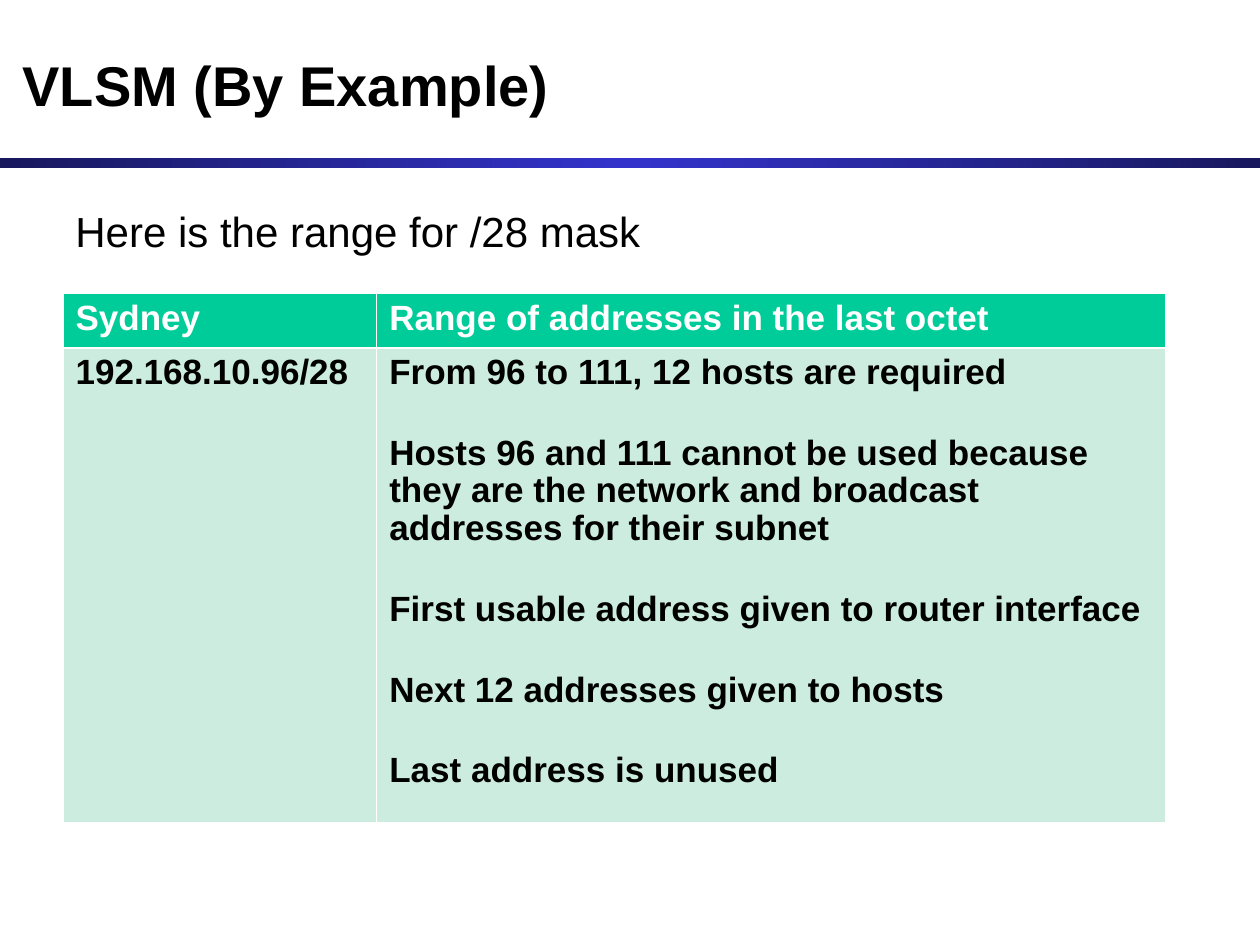
from copy import deepcopy
from dataclasses import dataclass

from pptx import Presentation
from pptx import util as u
from pptx.dml.color import RGBColor
from pptx.enum import shapes, text
from pptx.oxml import ns
from lxml import etree


@dataclass(frozen=True)
class Theme:
    font: str = "Arial"
    ink: str = "000000"
    paper: str = "FFFFFF"
    header: str = "00CC99"
    body: str = "CBECDE"
    band_edge: str = "18185E"
    band_middle: str = "3333CC"
    title_size: int = 32
    intro_size: int = 24
    table_size: int = 20
    thin: float = 0.45
    thick: float = 1.47


@dataclass(frozen=True)
class RangeRow:
    height: float
    cells: tuple[tuple[str, ...], ...]
    fill: str
    color: str
    thick_edge: str


THEME = Theme()
COLUMN_WIDTHS = (2.49, 6.26)
ROWS = (
    RangeRow(0.43, (("Sydney",), ("Range of addresses in the last octet",)),
             THEME.header, THEME.paper, "b"),
    RangeRow(3.77, (("192.168.10.96/28",), (
        "From 96 to 111, 12 hosts are required",
        "Hosts 96 and 111 cannot be used because they are the network and "
        "broadcast addresses for their subnet",
        "First usable address given to router interface",
        "Next 12 addresses given to hosts",
        "Last address is unused",
    )), THEME.body, THEME.ink, "t"),
)


def format_paragraph(paragraph, size: int, color: str, bold: bool) -> None:
    paragraph.alignment = text.PP_ALIGN.LEFT
    font = paragraph.font
    font.name = THEME.font
    font.size = u.Pt(size)
    font.bold = bold
    font.color.rgb = RGBColor.from_string(color)


def place(shape, left: float, top: float, width: float, height: float) -> None:
    shape.left, shape.top = u.Inches(left), u.Inches(top)
    shape.width, shape.height = u.Inches(width), u.Inches(height)


def draw_band(slide) -> None:
    band = slide.shapes.add_shape(
        shapes.MSO_SHAPE.RECTANGLE, 0, u.Inches(1.25), u.Inches(10), u.Inches(0.08))
    band.shadow.inherit = False
    band.line.fill.background()
    band.fill.gradient()
    band.fill.gradient_angle = 0
    first, last = band.fill.gradient_stops
    first.position, last.position = 0, 1
    first.color.rgb = last.color.rgb = RGBColor.from_string(THEME.band_edge)
    stops = band.fill._fill._gradFill.find(ns.qn("a:gsLst"))
    middle = deepcopy(stops[0])
    middle.set("pos", "50000")
    middle.find(ns.qn("a:srgbClr")).set("val", THEME.band_middle)
    stops.insert(1, middle)


def draw_title(slide, wording: str) -> None:
    title = slide.shapes.title
    place(title, 0.08, 0.17, 9.83, 1)
    title.text_frame.text = wording
    title.text_frame.vertical_anchor = text.MSO_ANCHOR.MIDDLE
    format_paragraph(title.text_frame.paragraphs[0], THEME.title_size, THEME.ink, True)


def draw_intro(slide, wording: str) -> None:
    intro = slide.shapes.add_textbox(
        u.Inches(0.5), u.Inches(1.58), u.Inches(8.58), u.Inches(0.58))
    intro.text_frame.word_wrap = True
    intro.text_frame.text = wording
    format_paragraph(intro.text_frame.paragraphs[0], THEME.intro_size, THEME.ink, False)


def add_borders(cell, thick_edge: str) -> None:
    properties = cell._tc.get_or_add_tcPr()
    for position, edge in enumerate("lrtb"):
        width = THEME.thick if edge == thick_edge else THEME.thin
        border = etree.Element(ns.qn(f"a:ln{edge.upper()}"), w=str(u.Pt(width)))
        fill = etree.SubElement(border, ns.qn("a:solidFill"))
        etree.SubElement(fill, ns.qn("a:srgbClr"), val=THEME.paper)
        properties.insert(position, border)


def fill_cell(cell, lines: tuple[str, ...], row: RangeRow) -> None:
    cell.fill.solid()
    cell.fill.fore_color.rgb = RGBColor.from_string(row.fill)
    add_borders(cell, row.thick_edge)
    cell.text_frame.text = "\n".join(lines)
    for index, paragraph in enumerate(cell.text_frame.paragraphs):
        paragraph.line_spacing = 0.97
        if index:
            paragraph.space_before = u.Pt(24.5)
        format_paragraph(paragraph, THEME.table_size, row.color, True)


def draw_ranges(slide, rows: tuple[RangeRow, ...]) -> None:
    ranges = slide.shapes.add_table(
        len(rows), len(COLUMN_WIDTHS), u.Inches(0.5), u.Inches(2.33),
        u.Inches(sum(COLUMN_WIDTHS)), u.Inches(sum(row.height for row in rows))).table
    ranges.horz_banding = False
    for column, width in zip(ranges.columns, COLUMN_WIDTHS):
        column.width = u.Inches(width)
    for table_row, row in zip(ranges.rows, rows):
        table_row.height = u.Inches(row.height)
        for cell, lines in zip(table_row.cells, row.cells):
            fill_cell(cell, lines, row)


def main() -> None:
    deck = Presentation()
    deck.slide_width, deck.slide_height = u.Inches(10), u.Inches(7.5)
    slide = deck.slides.add_slide(deck.slide_layouts[5])
    draw_band(slide)
    draw_title(slide, "VLSM (By Example)")
    draw_intro(slide, "Here is the range for /28 mask")
    draw_ranges(slide, ROWS)
    deck.save("out.pptx")


if __name__ == "__main__":
    main()
